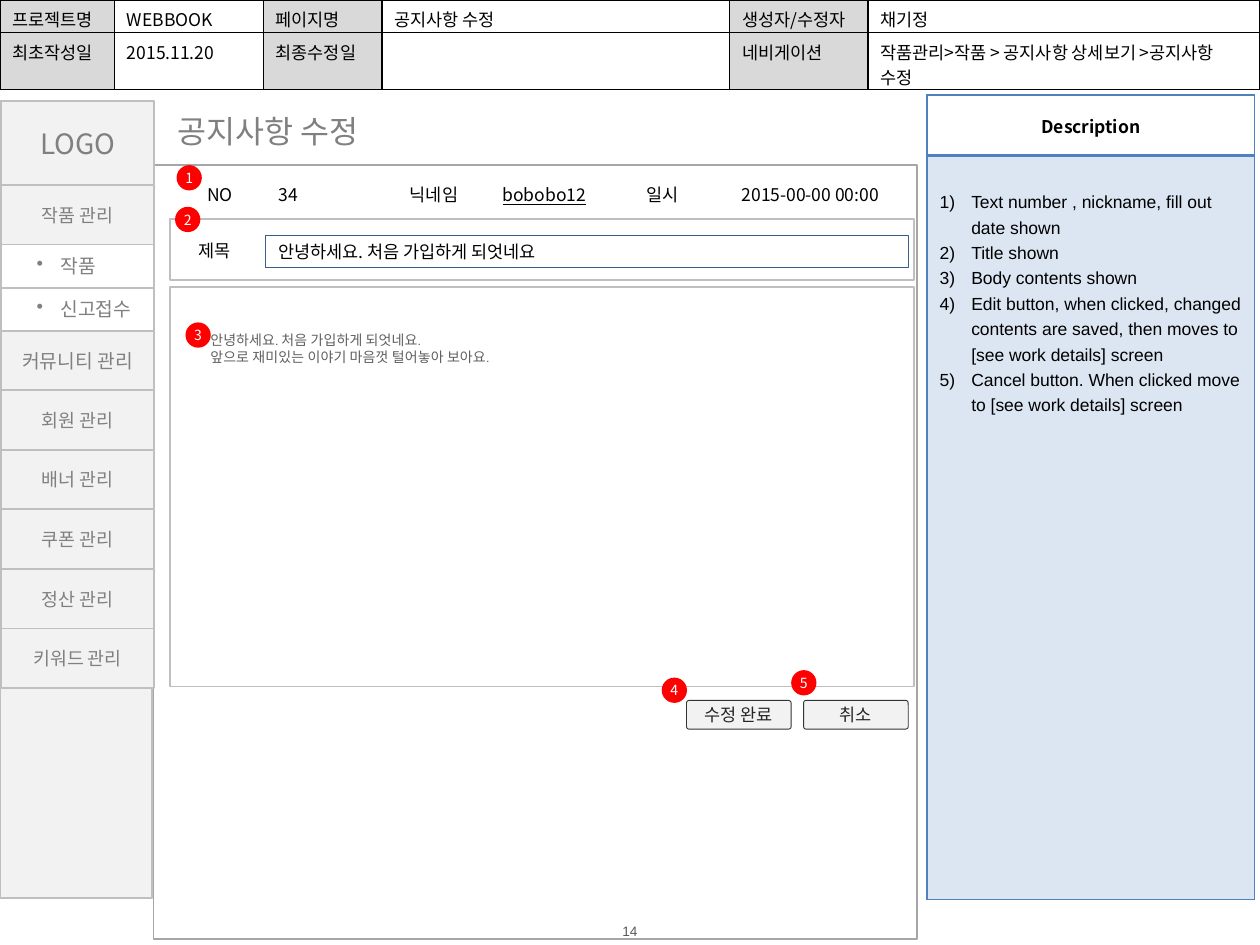
from lxml import etree
from pptx import Presentation
from pptx.dml.color import RGBColor
from pptx.enum.shapes import MSO_SHAPE
from pptx.enum.text import MSO_ANCHOR, PP_ALIGN
from pptx.oxml.ns import qn
from pptx.util import Cm, Pt

COLORS = {
    "black": "000000", "white": "FFFFFF", "label": "D9D9D9", "panel": "F2F2F2",
    "border": "BFBFBF", "frame": "A6A6A6", "gray": "808080", "body": "5F5F5F",
    "page": "595959", "badge": "FF0000", "blue": "4F81BD", "pale blue": "DCE6F2",
    "input": "3A5F8C", "button text": "262626", "button line": "333333",
}
KOREAN = "Noto Sans CJK KR"
NO_STYLE = "{2D5ABB26-0587-4C30-8999-92F81FD0307C}"
SIDES = ("L", "R", "T", "B")
LEFT, CENTER = PP_ALIGN.LEFT, PP_ALIGN.CENTER

HEADER = [
    ["프로젝트명", "WEBBOOK", "페이지명", "공지사항 수정", "생성자/수정자", "채기정"],
    ["최초작성일", "2015.11.20", "최종수정일", "", "네비게이션",
     "작품관리>작품 > 공지사항 상세보기 >공지사항 수정"],
]
HEADER_COLUMNS = [2.31, 3, 2.39, 7.01, 2.79, 7.9]
HEADER_ROWS = [0.66, 1.12]

NOTICE = [("NO", CENTER), ("34", LEFT), ("닉네임", CENTER), ("bobobo12", LEFT),
          ("일시", CENTER), ("2015-00-00 00:00", CENTER)]
NOTICE_COLUMNS = [1.85, 2.26, 2.26, 2.44, 2.06, 3.91]

DESCRIPTION = [
    "Text number , nickname, fill out date shown",
    "Title shown",
    "Body contents shown",
    "Edit button, when clicked, changed contents are saved, then moves to "
    "[see work details] screen",
    "Cancel button. When clicked move to [see work details] screen",
]
BODY = ["안녕하세요. 처음 가입하게 되엇네요.",
        "앞으로 재미있는 이야기 마음껏 털어놓아 보아요."]

# text, kind, font size
MENU = [
    ("LOGO", "logo", 16), ("작품 관리", "item", 10.5), ("작품", "sub", 11),
    ("신고접수", "sub", 11), ("커뮤니티 관리", "item", 11), ("회원 관리", "item", 10.5),
    ("배너 관리", "item", 10.5), ("쿠폰 관리", "item", 10.5),
    ("정산 관리", "item", 10.5), ("키워드 관리", "item", 10.5),
]
MENU_HEIGHTS = {"logo": 1.7, "item": 1.2, "sub": 0.87}
BUTTONS = [("수정 완료", 13.84), ("취소", 16.2)]
BADGES = [(3.56, 3.33), (3.53, 4.17), (3.74, 6.5), (13.34, 13.66), (15.95, 13.51)]


def rgb(name):
    return RGBColor.from_string(COLORS[name])


def write(frame, text, size=10, font=KOREAN, color="black", align=LEFT, bold=False,
          underline=False, spacing=None, bullet=None, indent=0):
    """Fill a text frame; text is one string or a list of paragraphs.

    bullet is a character, or "number" for 1), 2), 3).
    """
    lines = [text] if isinstance(text, str) else text
    for index, line in enumerate(lines):
        paragraph = frame.paragraphs[0] if index == 0 else frame.add_paragraph()
        paragraph.alignment = align
        if spacing:
            paragraph.line_spacing = spacing
        if bullet:
            properties = paragraph._p.get_or_add_pPr()
            properties.set("marL", str(Cm(indent)))
            properties.set("indent", str(-Cm(indent)))
            if bullet == "number":
                etree.SubElement(properties, qn("a:buAutoNum"), type="arabicParenR")
            else:
                etree.SubElement(properties, qn("a:buChar"), char=bullet)
        run = paragraph.add_run()
        run.text = line
        run.font.size = Pt(size)
        run.font.name = font
        run.font.bold = bold
        run.font.underline = underline
        run.font.color.rgb = rgb(color)
        etree.SubElement(run._r.get_or_add_rPr(), qn("a:ea"), typeface=font)


def set_margins(target, left=0.25, top=0.13, right=0.25, bottom=0.13):
    target.margin_left, target.margin_top = Cm(left), Cm(top)
    target.margin_right, target.margin_bottom = Cm(right), Cm(bottom)


def add_box(slide, box, kind=MSO_SHAPE.RECTANGLE, fill=None, line=None, width=1):
    shape = slide.shapes.add_shape(kind, *map(Cm, box))
    shape.shadow.inherit = False
    if fill:
        shape.fill.solid()
        shape.fill.fore_color.rgb = rgb(fill)
    else:
        shape.fill.background()
    if line:
        shape.line.color.rgb = rgb(line)
        shape.line.width = Pt(width)
    else:
        shape.line.fill.background()
    frame = shape.text_frame
    frame.word_wrap = True
    frame.vertical_anchor = MSO_ANCHOR.MIDDLE
    return shape


def add_text(slide, box, text, anchor=MSO_ANCHOR.MIDDLE, margins=None, **format):
    frame = slide.shapes.add_textbox(*map(Cm, box)).text_frame
    frame.word_wrap = True
    frame.vertical_anchor = anchor
    set_margins(frame, **(margins or {}))
    write(frame, text, **format)


def add_grid(slide, left, top, columns, rows):
    frame = slide.shapes.add_table(len(rows), len(columns), Cm(left), Cm(top),
                                   Cm(sum(columns)), Cm(sum(rows)))
    table = frame.table
    table.first_row = table.horz_banding = False
    table._tbl.tblPr.find(qn("a:tableStyleId")).text = NO_STYLE
    for column, width in zip(table.columns, columns):
        column.width = Cm(width)
    for row, height in zip(table.rows, rows):
        row.height = Cm(height)
    return table


def format_cell(cell, fill=None, border=None, widths=(1, 1, 1, 1)):
    """Set fill and borders; widths follow SIDES, in points."""
    properties = cell._tc.get_or_add_tcPr()
    for side, width in zip(SIDES, widths if border else ()):
        line = etree.SubElement(properties, qn(f"a:ln{side}"), w=str(Pt(width)))
        solid = etree.SubElement(line, qn("a:solidFill"))
        etree.SubElement(solid, qn("a:srgbClr"), val=COLORS[border])
    if fill:
        cell.fill.solid()
        cell.fill.fore_color.rgb = rgb(fill)
    else:
        cell.fill.background()


def add_header(slide):
    table = add_grid(slide, 0, 0, HEADER_COLUMNS, HEADER_ROWS)
    for row, texts in enumerate(HEADER):
        for column, text in enumerate(texts):
            cell = table.cell(row, column)
            format_cell(cell, None if column % 2 else "label", "black")
            set_margins(cell, bottom=0)
            if text:
                write(cell.text_frame, text)


def add_description(slide):
    table = add_grid(slide, 18.69, 1.92, [6.6], [1.22, 14.99])
    heading, notes = table.cell(0, 0), table.cell(1, 0)
    format_cell(heading, None, "blue", (1, 1, 1, 2))
    heading.vertical_anchor = MSO_ANCHOR.MIDDLE
    write(heading.text_frame, "Description", bold=True, align=CENTER)
    format_cell(notes, "pale blue", "blue", (1, 1, 2, 1))
    set_margins(notes, top=0.63)
    write(notes.text_frame, DESCRIPTION, font="Arial", spacing=1.3,
          bullet="number", indent=0.64)


def add_notice(slide):
    add_box(slide, (3.1, 3.33, 15.39, 15.6), line="frame", width=0.75)
    table = add_grid(slide, 3.51, 3.53, NOTICE_COLUMNS, [0.76])
    for cell, (text, align) in zip(table.rows[0].cells, NOTICE):
        format_cell(cell)
        cell.vertical_anchor = MSO_ANCHOR.MIDDLE
        write(cell.text_frame, text, align=align, underline=text == "bobobo12")
    add_box(slide, (3.43, 4.42, 14.99, 1.22), line="border")
    add_box(slide, (3.43, 5.79, 14.99, 8.05), line="border")
    add_box(slide, (5.36, 4.75, 12.95, 0.64), line="input", width=0.75)
    add_text(slide, (3.76, 4.7, 4.8, 0.69), "제목")
    add_text(slide, (5.36, 4.75, 8.26, 0.64), "안녕하세요. 처음 가입하게 되엇네요")
    add_text(slide, (3.99, 6.55, 13.72, 0.94), BODY, anchor=MSO_ANCHOR.TOP,
             size=8, font="Cabin", color="body")
    for text, left in BUTTONS:
        button = add_box(slide, (left, 14.12, 2.11, 0.58), MSO_SHAPE.ROUNDED_RECTANGLE,
                         "panel", "button line", 0.5)
        button.adjustments[0] = 0.09
        write(button.text_frame, text, font="Calibri", color="button text", align=CENTER)


def add_menu(slide):
    add_box(slide, (0, 2.03, 3.07, 16.08), fill="panel", line="border")
    top = 2.03
    for text, kind, size in MENU:
        height = MENU_HEIGHTS[kind]
        is_sub = kind == "sub"
        frame = add_box(slide, (0.03, top, 3.07, height),
                        fill="white" if is_sub else "panel", line="border").text_frame
        if is_sub:
            set_margins(frame, left=0.71)
            write(frame, text, size=size, color="gray", bullet="•", indent=0.48)
        else:
            write(frame, text, size=size, color="gray", align=CENTER)
        top += height


def add_badges(slide):
    for number, (left, top) in enumerate(BADGES, 1):
        badge = add_box(slide, (left, top, 0.51, 0.51), MSO_SHAPE.OVAL, "badge")
        set_margins(badge.text_frame, 0, 0, 0, 0)
        write(badge.text_frame, str(number), size=8, color="white", align=CENTER)


def main():
    presentation = Presentation()
    presentation.slide_width, presentation.slide_height = Cm(25.4), Cm(19.05)
    slide = presentation.slides.add_slide(presentation.slide_layouts[5])
    title = slide.shapes.title
    title.left, title.top, title.width, title.height = map(Cm, (3.33, 2.13, 4.6, 1.02))
    title.text_frame.word_wrap = False
    title.text_frame.vertical_anchor = MSO_ANCHOR.TOP
    write(title.text_frame, "공지사항 수정", size=18, color="gray")
    add_header(slide)
    add_description(slide)
    add_notice(slide)
    add_menu(slide)
    add_badges(slide)
    add_text(slide, (11.61, 18.59, 2.18, 0.36), "14", size=7.8, font="Arial", color="page",
             align=CENTER, margins=dict(left=0, top=0, right=0, bottom=0))
    presentation.save("out.pptx")


if __name__ == "__main__":
    main()
